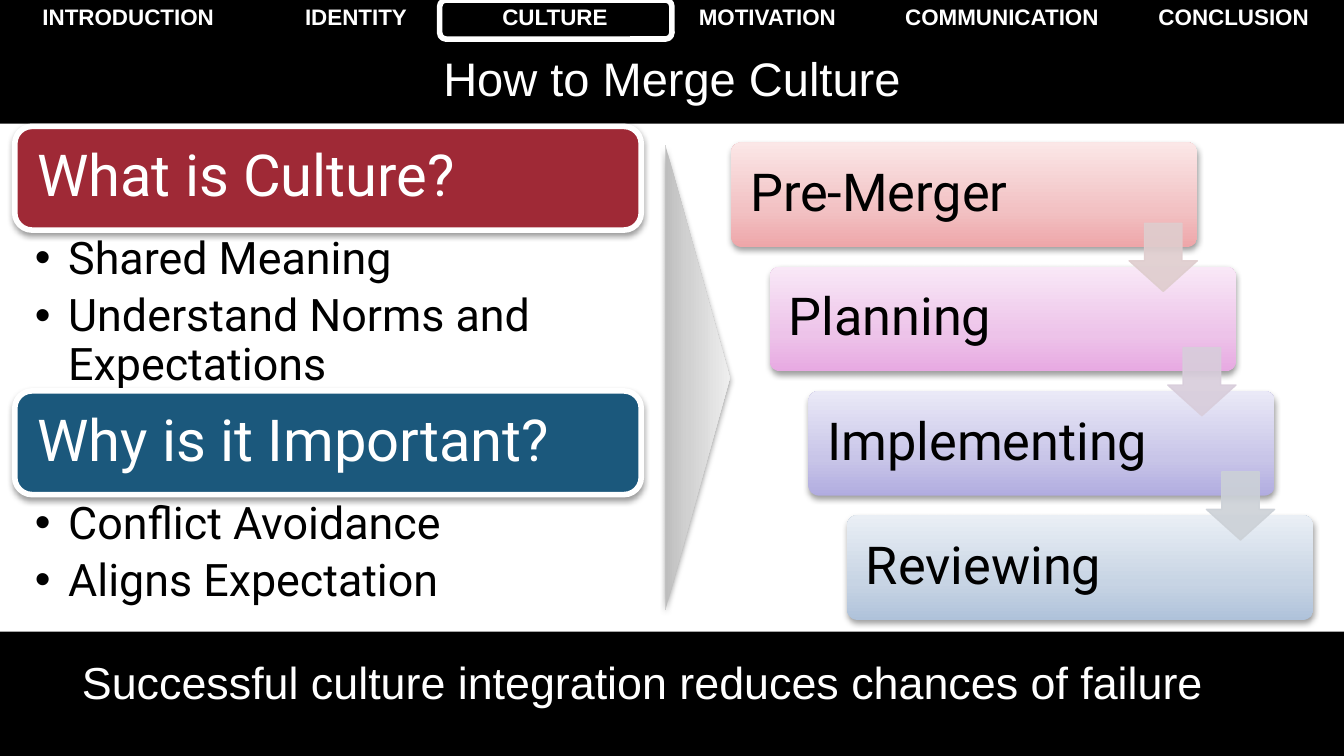
from lxml import etree
from pptx import Presentation
from pptx.dml.color import RGBColor
from pptx.enum.shapes import MSO_SHAPE
from pptx.enum.text import MSO_ANCHOR, MSO_AUTO_SIZE, PP_ALIGN
from pptx.oxml.ns import qn
from pptx.util import Cm, Pt

RECT, ROUND = MSO_SHAPE.RECTANGLE, MSO_SHAPE.ROUNDED_RECTANGLE
TRIANGLE, DOWN = MSO_SHAPE.ISOSCELES_TRIANGLE, MSO_SHAPE.DOWN_ARROW
TOP, MIDDLE = MSO_ANCHOR.TOP, MSO_ANCHOR.MIDDLE
LEFT, CENTER = PP_ALIGN.LEFT, PP_ALIGN.CENTER
NO_TABLE_STYLE = "{2D5ABB26-0587-4C30-8999-92F81FD0307C}"
BLACK, WHITE = "000000", "FFFFFF"

TITLE = "How to Merge Culture"
TAKEAWAY = "Successful culture integration reduces chances of failure"
TABS = [("INTRODUCTION", 4.85), ("IDENTITY", 3.76), ("CULTURE", 3.76),
        ("MOTIVATION", 4.27), ("COMMUNICATION", 4.6), ("CONCLUSION", 4.16)]
TOPICS = [
    ("What is Culture?", "9F2936", ["Shared Meaning", "Understand Norms and Expectations"], 3.02),
    ("Why is it Important?", "1B587C", ["Conflict Avoidance", "Aligns Expectation"], 2.13),
]
STEPS = [
    ("Pre-Merger", ("EEA6A9", "F2C1C3", "FBE7E7")),
    ("Planning", ("E7A9E2", "EDC3E9", "F9E8F7")),
    ("Implementing", ("B1ACE0", "C8C5E8", "EAE9F7")),
    ("Reviewing", ("AFC2DA", "C7D4E4", "EAEFF5")),
]
ARROWS = ["DFCDCE", "D8CDDB", "CCD1D7"]
GREYS = ("BDBDBD", "D1D1D1", "EEEEEE")


def rgb(color):
    """Turn a hex string into a colour."""
    return RGBColor.from_string(color)


def child(parent, tag, **attrs):
    """Append a DrawingML element with attributes."""
    e = etree.SubElement(parent, qn(tag))
    for name, value in attrs.items():
        e.set(name, str(value))
    return e


def write(tf, lines, size=12, color=BLACK, font="Roboto", bold=False, align=LEFT,
          anchor=TOP, insets=(0.25, 0.13, 0.25, 0.13), spacing=None, after=None, bullet=False):
    """Fill a text frame or table cell frame with formatted paragraphs."""
    tf.word_wrap = True
    tf.auto_size = MSO_AUTO_SIZE.NONE
    tf.vertical_anchor = anchor
    tf.margin_left, tf.margin_top, tf.margin_right, tf.margin_bottom = map(Cm, insets)
    for i, line in enumerate(lines):
        p = tf.add_paragraph() if i else tf.paragraphs[0]
        p.alignment, p.line_spacing, p.space_after = align, spacing, after
        if bullet:
            pPr = p._p.get_or_add_pPr()
            pPr.set("marL", str(Cm(0.63)))
            pPr.set("indent", str(-Cm(0.63)))
            child(pPr, "a:buFont", typeface="Arial")
            child(pPr, "a:buChar", char="•")
        r = p.add_run()
        r.text = line
        r.font.size, r.font.name, r.font.bold = Pt(size), font, bold
        r.font.color.rgb = rgb(color)


def add_shape(s, kind, box, fill=None, line=None, width=3, shadow=False, adj=()):
    """Add a shape with a solid, three-stop gradient or empty fill."""
    sp = s.shapes.add_shape(kind, *map(Cm, box))
    for i, value in enumerate(adj):
        sp.adjustments[i] = value
    if fill is None:
        sp.fill.background()
    elif isinstance(fill, tuple):
        sp.fill.gradient()
        sp.fill.gradient_angle = 90
        stops = sp._element.spPr.find(".//" + qn("a:gsLst"))
        for stop in list(stops):
            stops.remove(stop)
        for pos, color in zip((0, 35000, 100000), fill):
            child(child(stops, "a:gs", pos=pos), "a:srgbClr", val=color)
    else:
        sp.fill.solid()
        sp.fill.fore_color.rgb = rgb(fill)
    if line:
        sp.line.color.rgb = rgb(line)
        sp.line.width = Pt(width)
    else:
        sp.line.fill.background()
    sp.shadow.inherit = False
    if shadow:
        effects = sp._element.spPr.find(qn("a:effectLst"))
        outer = child(effects, "a:outerShdw", blurRad=Pt(3.1), dist=Pt(1.6),
                      dir=5400000, rotWithShape=0)
        child(child(outer, "a:srgbClr", val=BLACK), "a:alpha", val=38000)
    return sp


def add_text(s, box, lines, **fmt):
    """Add a text box."""
    write(s.shapes.add_textbox(*map(Cm, box)).text_frame, lines, **fmt)


def add_tabs(s):
    """Add the navigation table and the frame of the current tab."""
    table = s.shapes.add_table(1, len(TABS), 0, 0, Cm(25.4), Cm(0.76)).table
    table.first_row = table.horz_banding = False
    table._tbl.tblPr.find(qn("a:tableStyleId")).text = NO_TABLE_STYLE
    table.rows[0].height = Cm(0.76)
    for i, (name, width) in enumerate(TABS):
        table.columns[i].width = Cm(width)
        cell = table.cell(0, i)
        cell.fill.background()
        cell.margin_top = cell.margin_bottom = Cm(0.1)
        write(cell.text_frame, [name], color=WHITE, font="Arial", bold=True, align=CENTER)
    add_shape(s, ROUND, (8.31, 0, 4.39, 0.74), line=WHITE)


def add_topics(s):
    """Add the headings with their bullet lists."""
    for i, (heading, color, points, height) in enumerate(TOPICS):
        top = 2.39 + 5 * i
        sp = add_shape(s, ROUND, (0.28, top, 11.84, 1.96), color, WHITE, shadow=True)
        write(sp.text_frame, [heading], size=31, color=WHITE, anchor=MIDDLE,
              insets=[0.33] * 4, spacing=0.9)
        add_text(s, (0.28, top + 1.97, 11.84, height), points, size=24,
                 insets=(0.38, 0.1, 0.6, 0.1), spacing=0.9, after=Pt(4.8), bullet=True)


def add_steps(s):
    """Add the staircase of steps and the arrows between them."""
    places = [(13.82 + 0.73 * i, 2.69 + 2.35 * i) for i in range(len(STEPS))]
    for (name, colors), (left, top) in zip(STEPS, places):
        sp = add_shape(s, ROUND, (left, top, 8.81, 1.98), colors, shadow=True, adj=[0.1])
        write(sp.text_frame, [name], size=28, anchor=MIDDLE, insets=[0.3] * 4, spacing=0.9)
    for color, (left, top) in zip(ARROWS, places):
        sp = add_shape(s, DOWN, (left + 7.52, top + 1.53, 1.29, 1.29), color, color, 0.75,
                       adj=[0.55, 0.45])
        for e in sp._element.spPr.iter(qn("a:srgbClr")):
            child(e, "a:alpha", val=90000)


def main():
    """Build the slide and save it."""
    prs = Presentation()
    prs.slide_width, prs.slide_height = Cm(25.4), Cm(14.29)
    s = prs.slides.add_slide(prs.slide_layouts[5])
    s.background.fill.solid()
    s.background.fill.fore_color.rgb = rgb(BLACK)
    title = s.shapes.title
    title.left, title.top, title.width, title.height = map(Cm, (1.27, 0.94, 22.86, 1.04))
    write(title.text_frame, [TITLE], size=25.2, color=WHITE, font="Arial",
          align=CENTER, anchor=MIDDLE)
    add_shape(s, RECT, (0, 2.34, 25.4, 9.6), WHITE)
    add_tabs(s)
    add_shape(s, TRIANGLE, (8.79, 6.53, 8.79, 1.22), GREYS, shadow=True).rotation = 90
    add_text(s, (1.3, 12.24, 23.01, 1.65), [TAKEAWAY], size=24, color=WHITE, font="Arial")
    add_steps(s)
    add_topics(s)
    prs.save("out.pptx")


if __name__ == "__main__":
    main()
